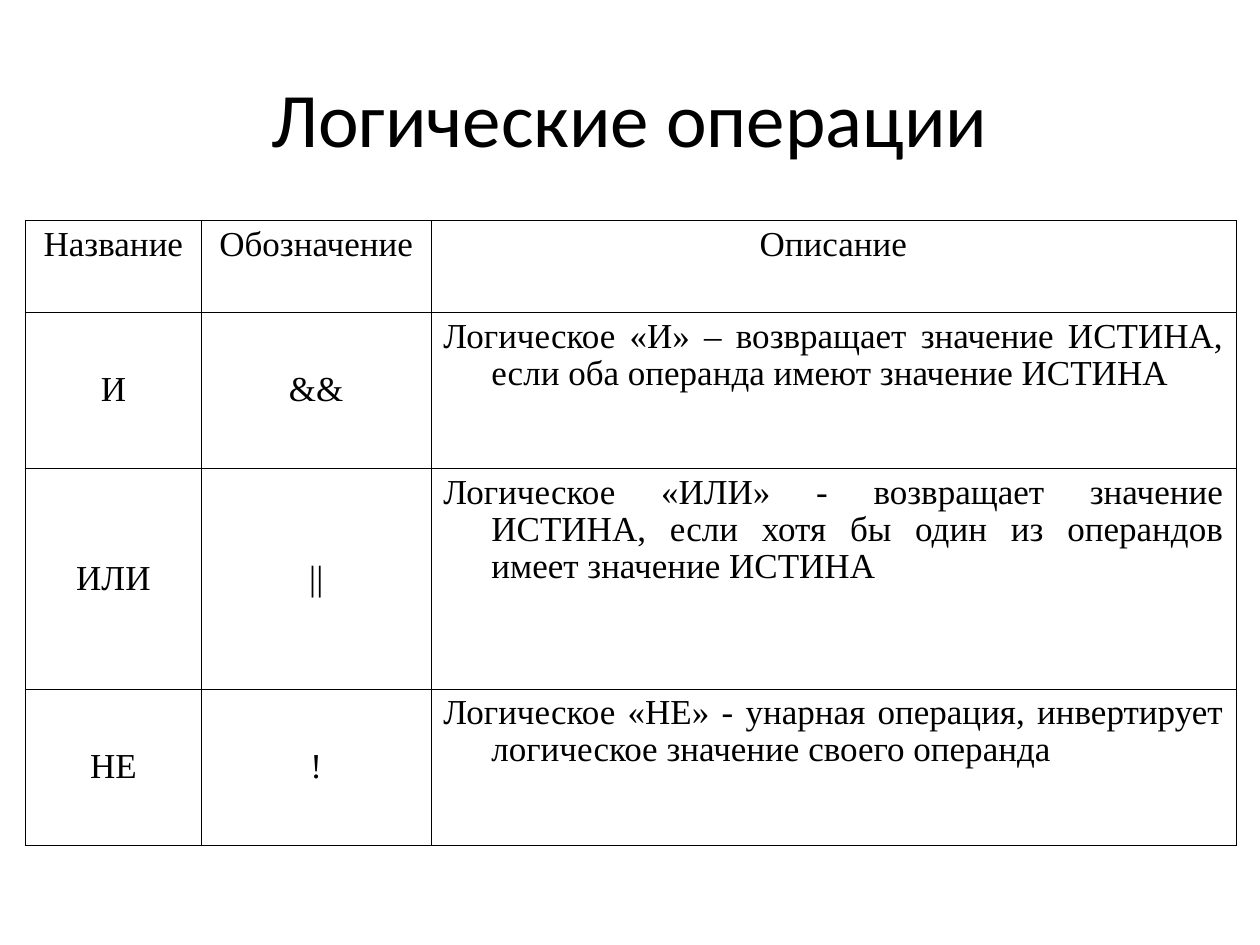
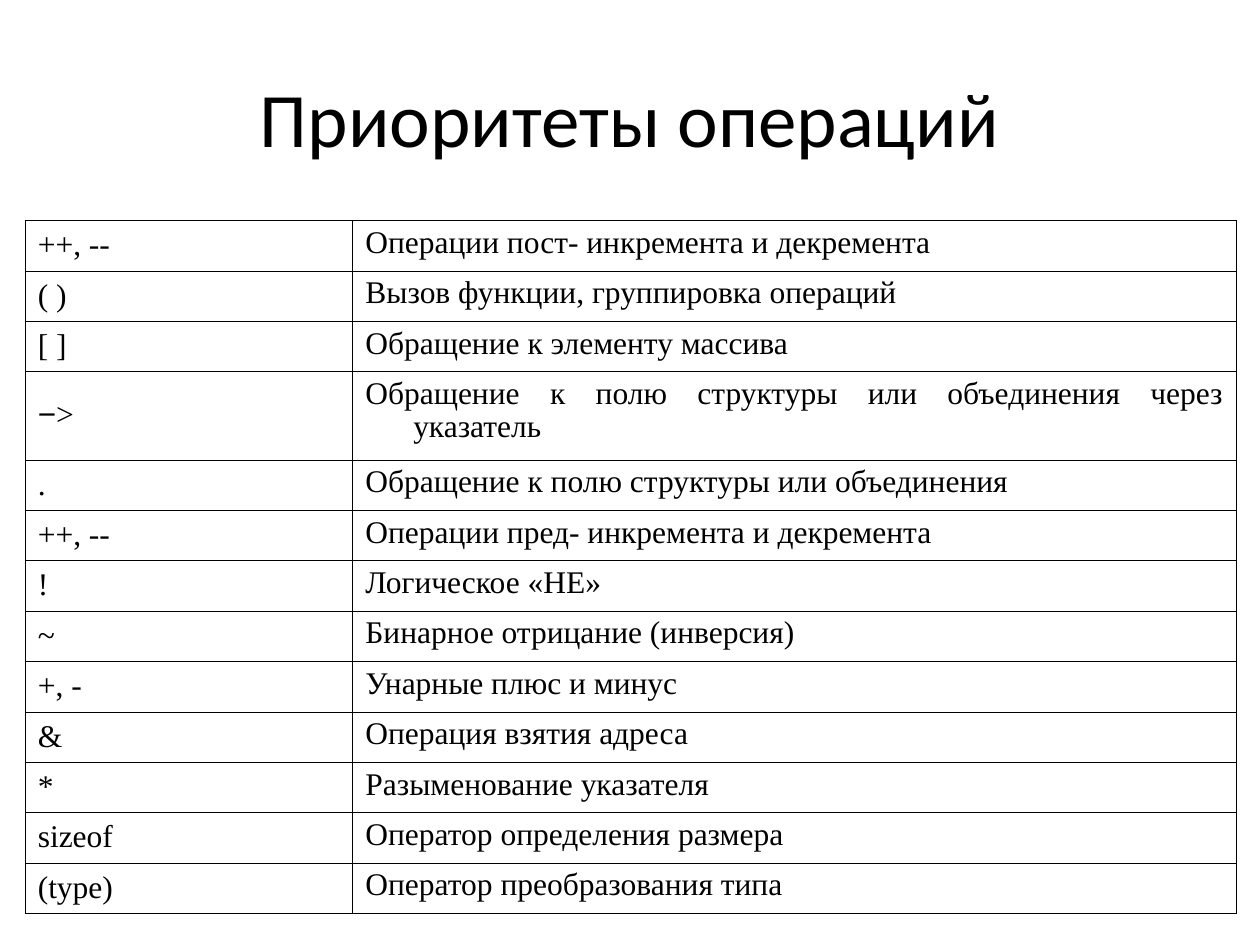
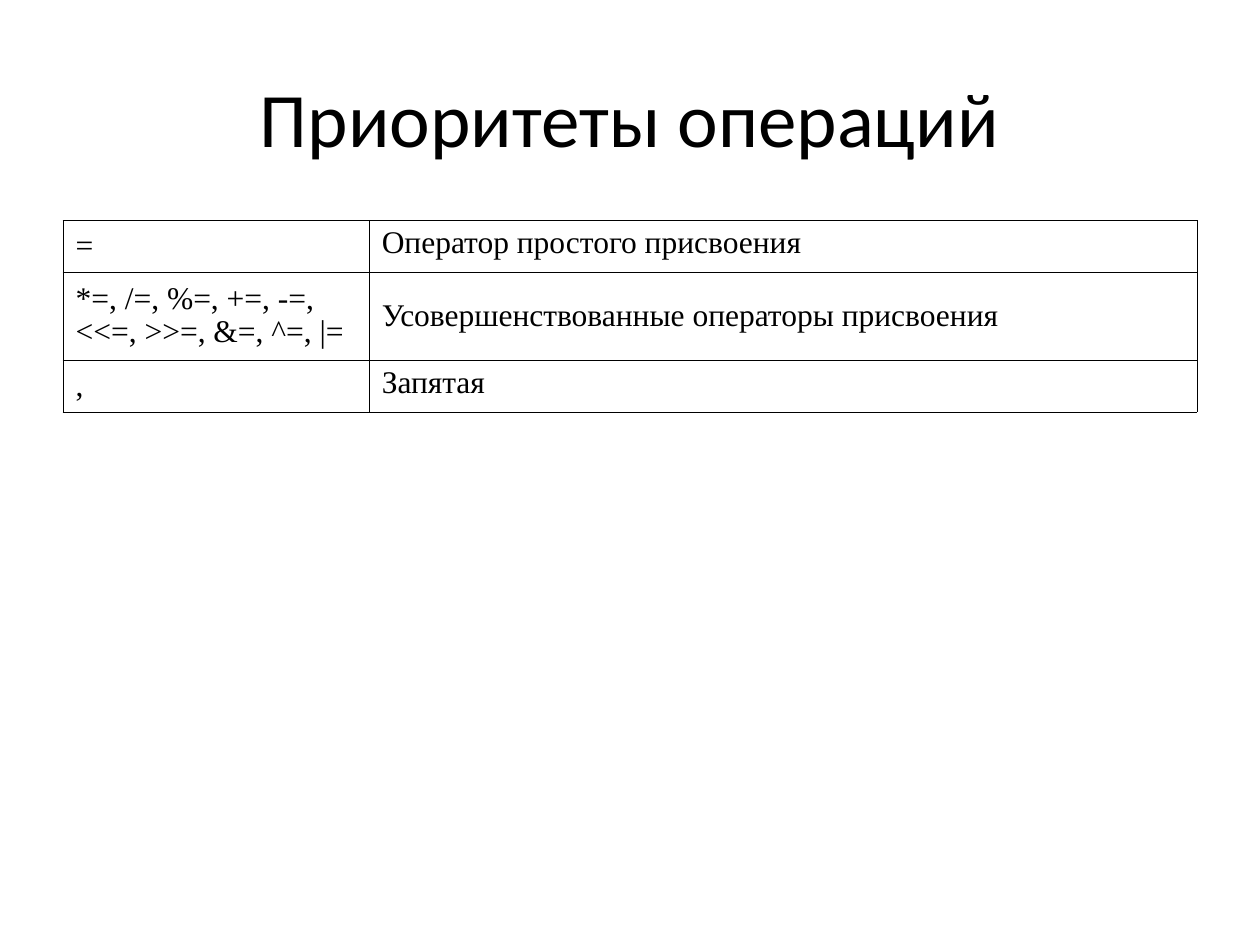
"""Build three slides of operator tables: logical operations and operator precedence."""
from dataclasses import dataclass
from typing import NamedTuple

from lxml import etree
from pptx import Presentation
from pptx import util as u
from pptx.dml.color import RGBColor
from pptx.enum import text
from pptx.oxml import ns

PX = 9144
INK = "000000"
TITLE_FONT, BODY_FONT, SYMBOL_FONT = "Calibri", "Times New Roman", "Arial"
HANG = 38
BORDER_PT = 0.45
LINE_SPACING = 0.95
TABLE_TOP = 175


class Style(NamedTuple):
    align: text.PP_ALIGN
    anchor: text.MSO_ANCHOR


class Run(NamedTuple):
    text: str
    font: str = BODY_FONT


class Cell(NamedTuple):
    style: Style
    paragraphs: list[list[Run]]


@dataclass
class TableSlide:
    title: str
    left: int
    cols: list[int]
    rows: list[int]
    size: int
    cells: list[list[Cell]]


HEADER = Style(text.PP_ALIGN.CENTER, text.MSO_ANCHOR.TOP)
CENTERED = Style(text.PP_ALIGN.CENTER, text.MSO_ANCHOR.MIDDLE)
OPERATOR = Style(text.PP_ALIGN.LEFT, text.MSO_ANCHOR.MIDDLE)
DESCRIPTION = Style(text.PP_ALIGN.JUSTIFY, text.MSO_ANCHOR.TOP)


def px(n: int) -> u.Emu:
    return u.Emu(n * PX)


def color(value: str) -> RGBColor:
    return RGBColor.from_string(value)


def cell(style: Style, *lines: str) -> Cell:
    return Cell(style, [[Run(line)] for line in lines])


def pair(operator: str, description: str) -> list[Cell]:
    return [cell(OPERATOR, operator), cell(DESCRIPTION, description)]


def logical(name: str, sign: str, description: str) -> list[Cell]:
    return [cell(CENTERED, name), cell(CENTERED, sign), cell(DESCRIPTION, description)]


def add_run(p, run: Run, size: int) -> None:
    r = p.add_run()
    r.text = run.text
    r.font.name = run.font
    r.font.size = u.Pt(size)
    r.font.color.rgb = color(INK)


def add_title(s, title: str) -> None:
    tf = s.shapes.add_textbox(px(50), px(30), px(900), px(125)).text_frame
    tf.word_wrap = True
    tf.vertical_anchor = text.MSO_ANCHOR.MIDDLE
    p = tf.paragraphs[0]
    p.alignment = text.PP_ALIGN.CENTER
    add_run(p, Run(title, TITLE_FONT), 44)


def set_borders(tc) -> None:
    tcPr = tc.get_or_add_tcPr()
    for i, side in enumerate(("lnL", "lnR", "lnT", "lnB")):
        ln = etree.Element(ns.qn(f"a:{side}"), w=str(u.Pt(BORDER_PT)))
        fill = etree.SubElement(ln, ns.qn("a:solidFill"))
        etree.SubElement(fill, ns.qn("a:srgbClr"), val=INK)
        tcPr.insert(i, ln)


def fill_cell(target, source: Cell, size: int) -> None:
    target.fill.background()
    target.vertical_anchor = source.style.anchor
    target.margin_left = target.margin_right = px(10)
    target.margin_top = target.margin_bottom = px(5)
    set_borders(target._tc)
    tf = target.text_frame
    for i, runs in enumerate(source.paragraphs):
        p = tf.add_paragraph() if i else tf.paragraphs[0]
        p.alignment = source.style.align
        p.line_spacing = LINE_SPACING
        pPr = p._p.get_or_add_pPr()
        pPr.set("marL", str(px(HANG)))
        pPr.set("indent", str(-px(HANG)))
        for run in runs:
            add_run(p, run, size)


def add_table(s, spec: TableSlide) -> None:
    table = s.shapes.add_table(
        len(spec.rows), len(spec.cols), px(spec.left), px(TABLE_TOP),
        px(sum(spec.cols)), px(sum(spec.rows))).table
    table.first_row = table.horz_banding = False
    for column, width in zip(table.columns, spec.cols):
        column.width = px(width)
    for row, height, cells in zip(table.rows, spec.rows, spec.cells):
        row.height = px(height)
        for target, source in zip(row.cells, cells):
            fill_cell(target, source, spec.size)


SLIDES = [
    TableSlide("Логические операции", 20, [140, 182, 639], [73, 124, 175, 124], 20, [
        [cell(HEADER, name) for name in ("Название", "Обозначение", "Описание")],
        logical("И", "&&", "Логическое «И» – возвращает значение ИСТИНА, "
                "если оба операнда имеют значение ИСТИНА "),
        logical("ИЛИ", "||", "Логическое «ИЛИ» - возвращает значение ИСТИНА, "
                "если хотя бы один из операндов имеет значение ИСТИНА"),
        logical("НЕ", "!", "Логическое «НЕ» - унарная операция, "
                "инвертирует логическое значение своего операнда"),
    ]),
    TableSlide("Приоритеты операций", 20, [260, 701], [40] * 3 + [70] + [40] * 9, 18, [
        pair("++, --", "Операции пост- инкремента и декремента"),
        pair("( )", "Вызов функции, группировка операций"),
        pair("[ ]", "Обращение к элементу массива"),
        [Cell(OPERATOR, [[Run("−", SYMBOL_FONT), Run(">")]]),
         cell(DESCRIPTION, "Обращение к полю структуры или объединения через указатель")],
        pair(".", "Обращение к полю структуры или объединения"),
        pair("++, --", "Операции пред- инкремента и декремента"),
        pair("!", "Логическое «НЕ»"),
        pair("~", "Бинарное отрицание (инверсия)"),
        pair("+, -", "Унарные плюс и минус"),
        pair("&", "Операция взятия адреса"),
        pair("*", "Разыменование указателя"),
        pair("sizeof", "Оператор определения размера"),
        pair("(type)", "Оператор преобразования типа"),
    ]),
    TableSlide("Приоритеты операций", 50, [243, 657], [41, 70, 41], 18, [
        pair("=", "Оператор простого присвоения"),
        [cell(OPERATOR, "*=, /=, %=, +=, -=,", "<<=, >>=, &=, ^=, |="),
         cell(OPERATOR, "Усовершенствованные операторы присвоения")],
        pair(",", "Запятая"),
    ]),
]


def main() -> None:
    prs = Presentation()
    prs.slide_width, prs.slide_height = px(1000), px(750)
    for spec in SLIDES:
        s = prs.slides.add_slide(prs.slide_layouts[6])
        add_title(s, spec.title)
        add_table(s, spec)
    prs.save("out.pptx")


if __name__ == "__main__":
    main()
